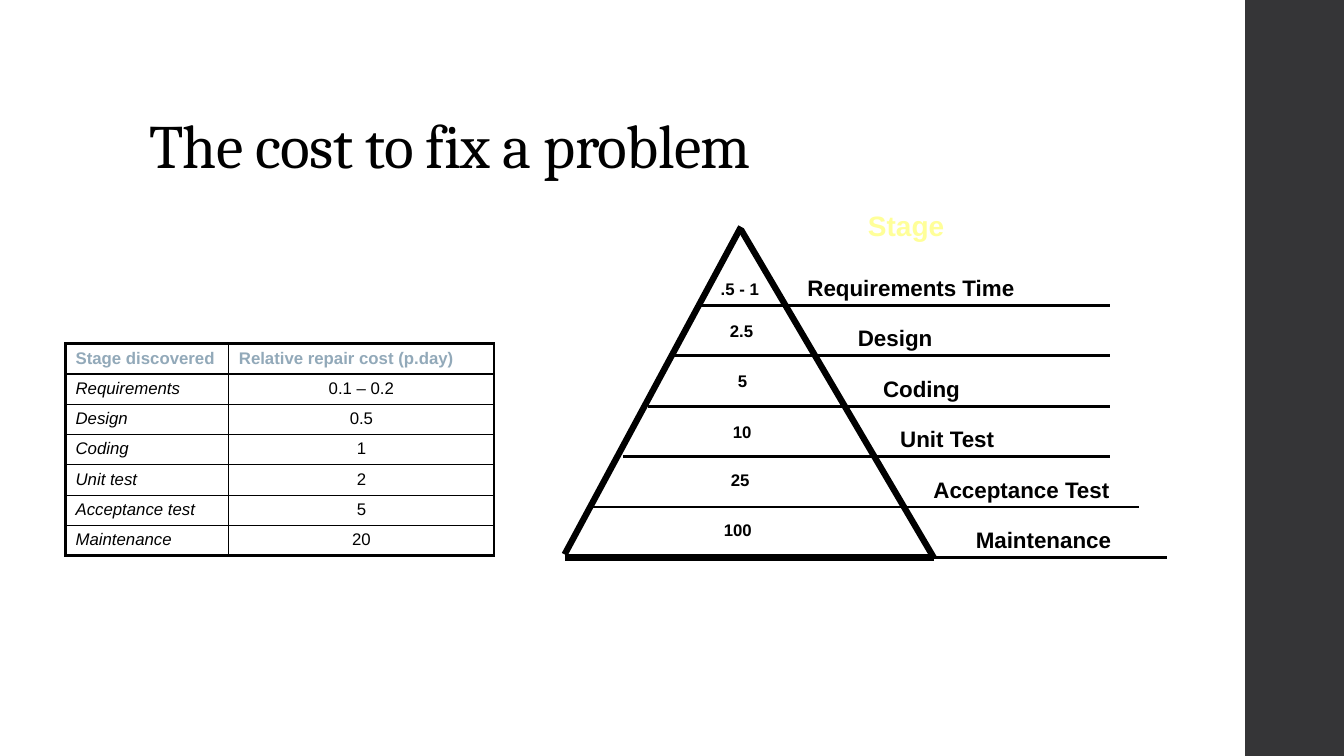
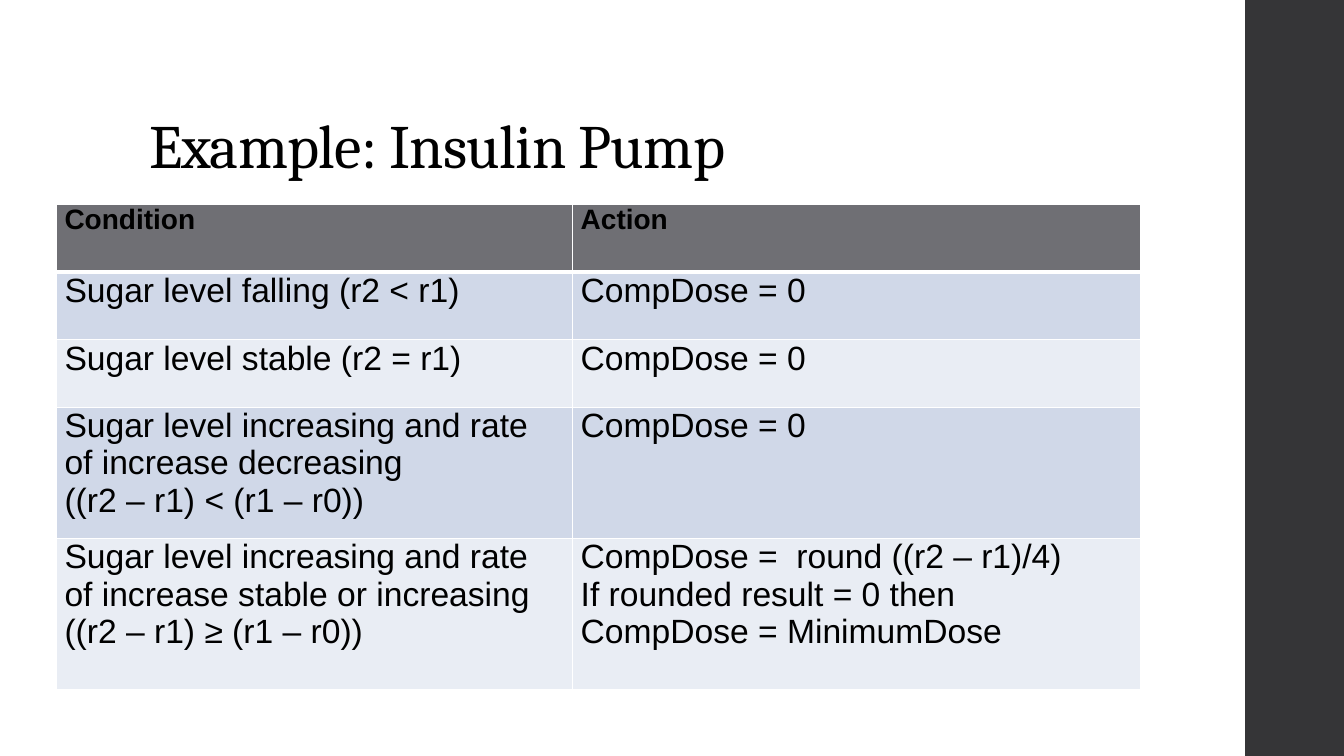
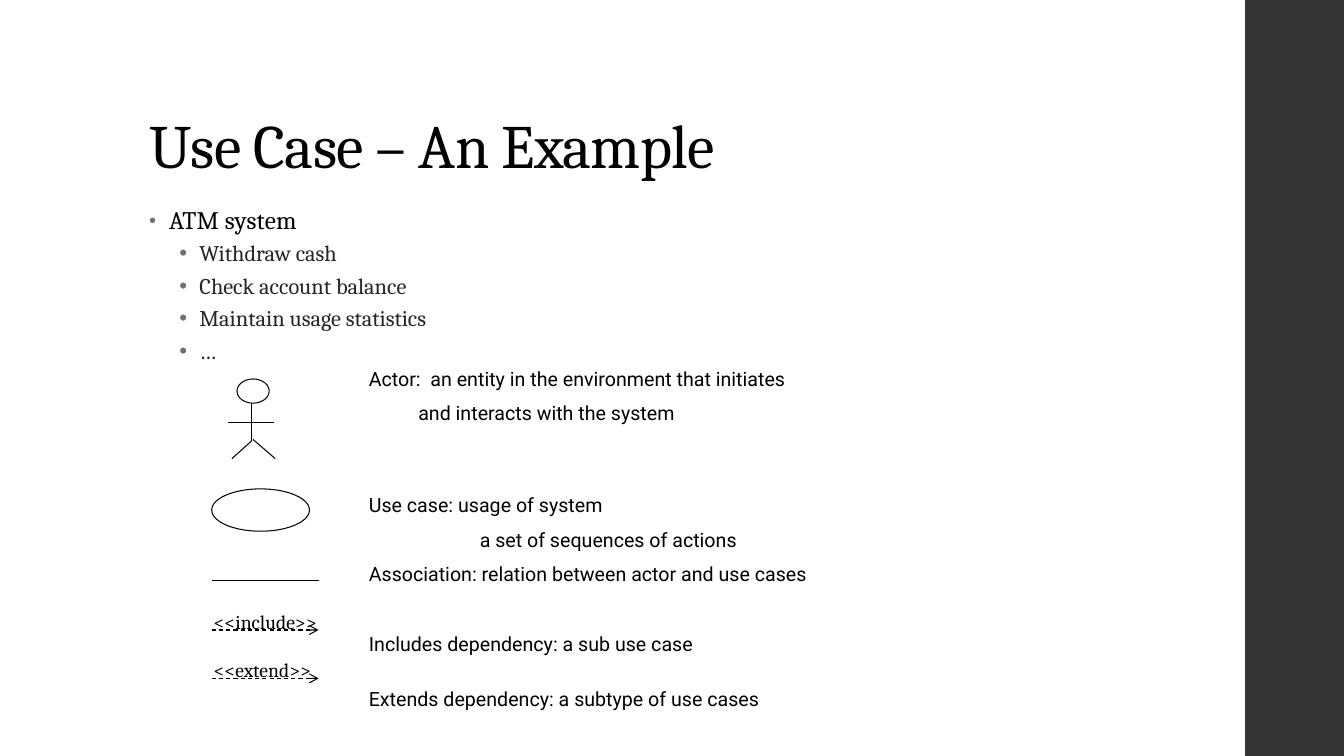
from pptx import Presentation
from pptx import util as u
from pptx.dml.color import RGBColor
from pptx.enum import dml, shapes, text
from pptx.oxml import parse_xml
from pptx.oxml.ns import nsdecls

BLACK, WHITE, GREY, BAND = "000000", "FFFFFF", "6F6F74", "353537"
TITLE = {"name": "Cambria", "size": 44, "color": BLACK, "spc": -50}
COST = {"name": "Arial", "size": 12, "color": BLACK, "bold": True}
STAGE = {**COST, "size": 16}
NOTE = {"name": "Roboto", "size": 14, "color": BLACK}
KEYWORD = {**NOTE, "name": "Cambria"}

REPAIR_COSTS = [
    ("Stage discovered", "Relative repair cost (p.day)"),
    ("Requirements", "0.1 – 0.2"), ("Design", "0.5"), ("Coding", "1"),
    ("Unit test", "2"), ("Acceptance test", "5"), ("Maintenance", "20"),
]
# cost: text, left, top, width; stage: text, left, width; line: start, end
PYRAMID_LEVELS = [
    ((".5 - 1", 7.05, 2.72, 0.59), ("Requirements Time", 7.91, 2.28), (6.93, 11.01)),
    (("2.5", 7.14, 3.13, 0.44), ("Design", 8.41, 0.95), (6.68, 11.01)),
    (("5", 7.22, 3.63, 0.3), ("Coding", 8.66, 0.97), (6.43, 11.01)),
    (("10", 7.17, 4.13, 0.39), ("Unit Test", 8.83, 1.15), (6.18, 11.01)),
    (("25", 7.15, 4.61, 0.45), ("Acceptance Test", 9.16, 1.97), (5.85, 11.3)),
    (("100", 7.08, 5.11, 0.59), ("Maintenance", 9.58, 1.56), (9.06, 11.57)),
]
PYRAMID_SIDES = [((7.35, 2.28), (9.26, 5.53)), ((9.26, 5.53), (5.6, 5.53)),
                 ((5.6, 5.5), (7.35, 2.25))]

DOSE_RULES = [
    ("Condition", "Action"),
    ("Sugar level falling (r2 < r1)", "CompDose = 0"),
    ("Sugar level stable (r2 = r1)", "CompDose = 0"),
    ("Sugar level increasing and rate of increase decreasing \v((r2 – r1) < (r1 – r0))",
     "CompDose = 0"),
    ("Sugar level increasing and rate of increase stable or increasing "
     "\v((r2 – r1) ≥ (r1 – r0))",
     "CompDose =  round ((r2 – r1)/4)\nIf rounded result = 0 then\nCompDose = MinimumDose"),
]
DOSE_HEIGHTS = [0.67, 0.67, 0.67, 1.16, 1.5]

ATM_TOPIC = "ATM system"
ATM_CASES = ["Withdraw cash", "Check account balance", "Maintain usage statistics", "…"]
# text, space before in points, indent in inches
NOTES = [
    ("Actor:  an entity in the environment that initiates", 0, 0),
    ("and interacts with the system", 7.7, 0.49),
    ("Use case: usage of system", 49, 0),
    ("a set of sequences of actions", 7.7, 1.1),
    ("Association: relation between actor and use cases", 7.7, 0),
    ("Includes dependency: a sub use case", 33, 0),
    ("Extends dependency: a subtype of use cases", 22.5, 0),
]
SYMBOL_OVALS = [(2.35, 3.76, 0.32, 0.24), (2.1, 4.85, 0.97, 0.42)]
ACTOR_LIMBS = [((2.26, 4.19), (2.72, 4.19)), ((2.49, 4), (2.49, 4.38)),
               ((2.5, 4.37), (2.3, 4.55)), ((2.51, 4.36), (2.73, 4.55))]
ASSOCIATION = ((2.1, 5.76), (3.16, 5.76))
DEPENDENCIES = [("<<include>>", 6.25), ("<<extend>>", 6.73)]


def rgb(value):
    """Return the colour for a hex string."""
    return RGBColor.from_string(value)


def inches(values):
    """Convert a sequence of numbers to lengths."""
    return [u.Inches(value) for value in values]


def write(para, words, style, **layout):
    """Fill a paragraph and apply its character and paragraph formats."""
    para.text = words
    for name, value in layout.items():
        setattr(para, name, value)
    for span in para.runs:
        for name, value in style.items():
            if name == "color":
                span.font.color.rgb = rgb(value)
            elif name == "spc":
                span.font._element.set("spc", str(value))
            else:
                setattr(span.font, name, u.Pt(value) if name == "size" else value)


def indent(para, left, first=0):
    """Set the left margin and first-line indent of a paragraph."""
    props = para._p.get_or_add_pPr()
    props.set("marL", str(u.Inches(left)))
    props.set("indent", str(u.Inches(first)))


def bullet(para, left, percent):
    """Give a paragraph a hanging grey bullet."""
    indent(para, left, -0.2)
    props = para._p.get_or_add_pPr()
    for tag in (f'<a:buClr {nsdecls("a")}><a:srgbClr val="{GREY}"/></a:buClr>',
                f'<a:buSzPct {nsdecls("a")} val="{percent * 1000}"/>',
                f'<a:buFont {nsdecls("a")} typeface="Arial"/>',
                f'<a:buChar {nsdecls("a")} char="•"/>'):
        props.append(parse_xml(tag))


def add_text(page, place, words="", style=None, wrap=True, anchor=text.MSO_ANCHOR.TOP):
    """Add a text box and return its frame."""
    frame = page.shapes.add_textbox(*inches(place)).text_frame
    frame.word_wrap = wrap
    frame.vertical_anchor = anchor
    if words:
        write(frame.paragraphs[0], words, style)
    return frame


def add_line(page, start, end, width, arrow=False):
    """Draw a black line, or a dashed arrow."""
    line = page.shapes.add_connector(shapes.MSO_CONNECTOR.STRAIGHT, *inches(start + end))
    line.line.color.rgb = rgb(BLACK)
    line.line.width = u.Pt(width)
    if arrow:
        line.line.dash_style = dml.MSO_LINE.DASH
        line.line._get_or_add_ln().append(
            parse_xml(f'<a:tailEnd {nsdecls("a")} type="arrow"/>'))
    line._element.spPr.append(parse_xml(f'<a:effectLst {nsdecls("a")}/>'))


def add_page(deck, title):
    """Add a slide with the side band and title."""
    page = deck.slides.add_slide(deck.slide_layouts[6])
    band = page.shapes.add_shape(shapes.MSO_SHAPE.RECTANGLE, *inches((12.35, 0, 0.98, 7.5)))
    band.shadow.inherit = False
    band.fill.solid()
    band.fill.fore_color.rgb = rgb(BAND)
    band.line.fill.background()
    frame = add_text(page, (1.38, 0.4, 10.6, 1.45), title, TITLE,
                     anchor=text.MSO_ANCHOR.BOTTOM)
    frame.paragraphs[0].line_spacing = 0.9
    return page


def add_grid(page, left, top, widths, heights):
    """Add an unbanded table with the given column widths and row heights."""
    place = (left, top, sum(widths), sum(heights))
    table = page.shapes.add_table(len(heights), len(widths), *inches(place)).table
    table.first_row = table.horz_banding = False
    for column, width in zip(table.columns, widths):
        column.width = u.Inches(width)
    for row, height in zip(table.rows, heights):
        row.height = u.Inches(height)
    return table


def set_borders(cell, color, **widths):
    """Draw the L, R, T and B borders of a cell, widths in points."""
    props = cell._tc.get_or_add_tcPr()
    for place, side in enumerate("LRTB"):
        props.insert(place, parse_xml(
            f'<a:ln{side} {nsdecls("a")} w="{u.Pt(widths[side])}"><a:solidFill>'
            f'<a:srgbClr val="{color}"/></a:solidFill></a:ln{side}>'))


def build_cost(deck):
    """Build the repair cost table and the cost pyramid."""
    page = add_page(deck, "The cost to fix a problem")
    last = len(REPAIR_COSTS) - 1
    table = add_grid(page, 0.65, 3.41, (1.62, 2.63), [0.28] * (last + 1))
    for r, row in enumerate(REPAIR_COSTS):
        for c, words in enumerate(row):
            cell = table.cell(r, c)
            cell.fill.background()
            style = {**COST, "bold": r == 0, "italic": r > 0 and c == 0,
                     "color": BLACK if r else "92A9B9"}
            centred = r > 0 and c == 1
            write(cell.text_frame.paragraphs[0], words, style,
                  alignment=text.PP_ALIGN.CENTER if centred else text.PP_ALIGN.LEFT)
            outer = {"L": c == 0, "R": c == 1, "T": r == 0, "B": r == last}
            set_borders(cell, BLACK, **{s: 2.25 if edge else 1 for s, edge in outer.items()})

    for start, end in PYRAMID_SIDES:
        add_line(page, start, end, 4.5)
    add_text(page, (8.51, 2.02, 0.96, 0.44), "Stage",
             {**STAGE, "size": 20, "color": "FFFF99"}, wrap=False)
    for level, (cost, stage, (start, end)) in enumerate(PYRAMID_LEVELS):
        y = 3.03 + 0.5 * level
        add_line(page, (start, y), (end, y), 2)
        words, left, top, width = cost
        add_text(page, (left, top, width, 0.3), words, COST, wrap=False)
        words, left, width = stage
        add_text(page, (left, y - 0.36, width, 0.37), words, STAGE, wrap=False)


def build_pump(deck):
    """Build the insulin dose table."""
    page = add_page(deck, "Example: Insulin Pump")
    table = add_grid(page, 0.56, 2.03, (5.12, 5.63), DOSE_HEIGHTS)
    margins = {"margin_left": 0.08, "margin_right": 0.08, "margin_top": 0, "margin_bottom": 0.1}
    for r, row in enumerate(DOSE_RULES):
        fill = GREY if r == 0 else ("E9EDF4", "D0D8E8")[r % 2]
        style = {**COST, "size": 24 if r else 20, "bold": r == 0}
        for c, words in enumerate(row):
            cell = table.cell(r, c)
            cell.fill.solid()
            cell.fill.fore_color.rgb = rgb(fill)
            for name, value in margins.items():
                setattr(cell, name, u.Inches(value))
            frame = cell.text_frame
            for n, line in enumerate(words.split("\n")):
                para = frame.add_paragraph() if n else frame.paragraphs[0]
                write(para, line, style)
                if r == 0:
                    para.alignment = text.PP_ALIGN.JUSTIFY
            set_borders(cell, WHITE, L=1, R=1, T=3 if r == 1 else 1, B=3 if r == 0 else 1)


def build_use_case(deck):
    """Build the use case list and the notation legend."""
    page = add_page(deck, "Use Case – An Example")
    frame = add_text(page, (1.38, 2, 9.4, 4.76))
    topic = frame.paragraphs[0]
    write(topic, ATM_TOPIC, {**KEYWORD, "size": 18, "spc": 10},
          line_spacing=0.95, space_after=u.Pt(2))
    bullet(topic, 0.2, 80)
    for case in ATM_CASES:
        para = frame.add_paragraph()
        write(para, case, {**KEYWORD, "size": 16, "color": "262626"}, level=1,
              line_spacing=0.9, space_before=u.Pt(3), space_after=u.Pt(3))
        bullet(para, 0.5, 100)

    for place in SYMBOL_OVALS:
        oval = page.shapes.add_shape(shapes.MSO_SHAPE.OVAL, *inches(place))
        oval.shadow.inherit = False
        oval.fill.background()
        oval.line.color.rgb = rgb(BLACK)
        oval.line.width = u.Pt(0.75)
    for start, end in ACTOR_LIMBS + [ASSOCIATION]:
        add_line(page, start, end, 0.75)
    for words, y in DEPENDENCIES:
        add_line(page, (2.1, y), (3.16, y), 0.75, arrow=True)
        add_text(page, (2.02, y - 0.25, 1.38, 0.24), words, KEYWORD)

    frame = add_text(page, (3.56, 3.59, 6.58, 3.35))
    for n, (words, before, left) in enumerate(NOTES):
        para = frame.add_paragraph() if n else frame.paragraphs[0]
        write(para, words, NOTE, space_before=u.Pt(before))
        indent(para, left)


deck = Presentation()
deck.slide_width, deck.slide_height = inches((13.33, 7.5))
for build in (build_cost, build_pump, build_use_case):
    build(deck)
deck.save("out.pptx")
